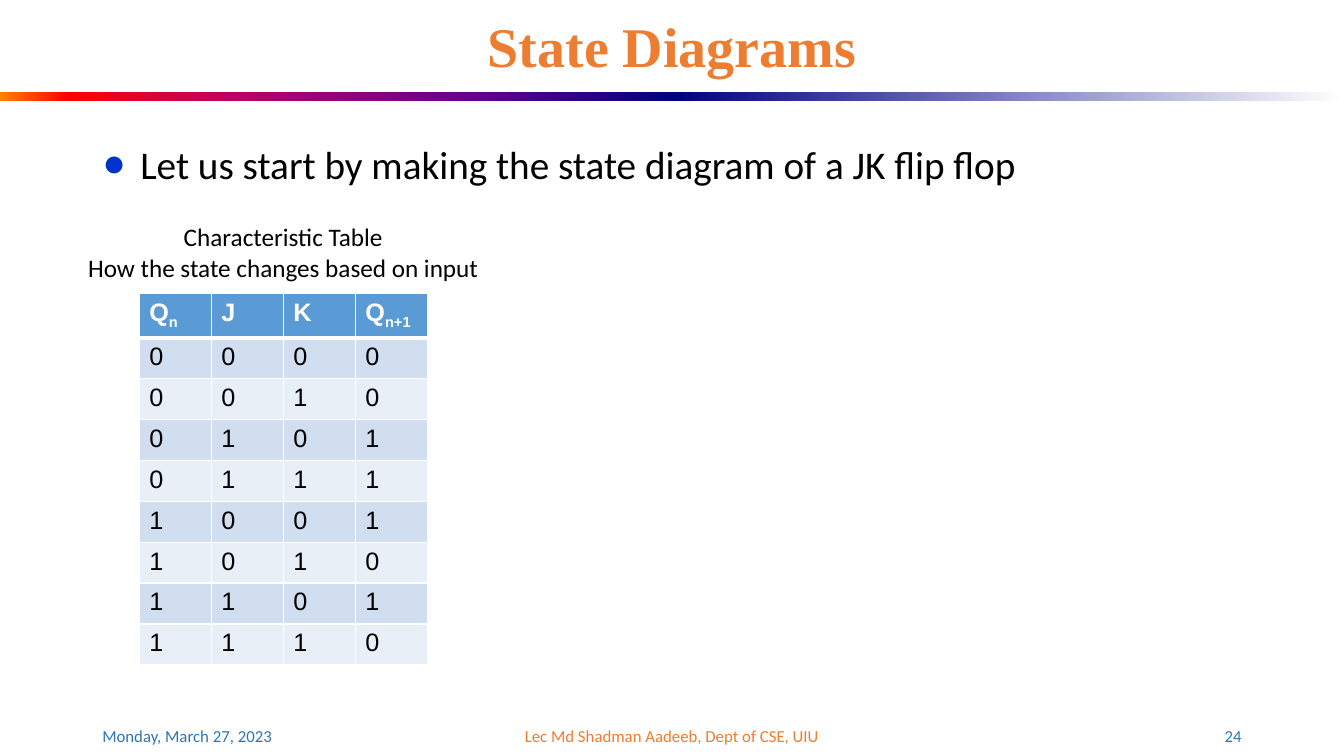
from dataclasses import dataclass

from lxml.etree import SubElement
from pptx import Presentation
from pptx.dml.color import RGBColor
from pptx.enum.shapes import MSO_SHAPE
from pptx.enum.text import MSO_ANCHOR, MSO_AUTO_SIZE, PP_ALIGN
from pptx.oxml.ns import qn
from pptx.util import Pt


@dataclass(frozen=True)
class Theme:
    black: str = "000000"
    white: str = "FFFFFF"
    orange: str = "ED7D31"
    footer_blue: str = "2E75B5"
    bullet_blue: str = "0033CC"
    header_blue: str = "5B9BD5"
    dark_band: str = "D0DEEF"
    light_band: str = "E9EFF7"
    warm_rule: tuple = ((0, "FF8200"), (10, "FF0000"), (35, "BA0066"),
                        (70, "66008F"), (100, "000082"))
    fading_rule: tuple = ((0, "000082"), (100, "FFFFFF"))
    heading_font: str = "Times New Roman"
    text_font: str = "Calibri"
    table_font: str = "Arial"
    title_size: int = 40
    body_size: int = 28
    table_size: int = 18
    footer_size: int = 12


THEME = Theme()
WIDTH, HEIGHT = 960, 540
MARGIN, CONTENT_WIDTH = 66, 828
COLUMN_WIDTH, ROW_HEIGHT = 51.5, 29.2
HEADINGS = (("Q", "n"), ("J", ""), ("K", ""), ("Q", "n+1"))
STATES = ("0000", "0010", "0101", "0111", "1001", "1010", "1101", "1110")


def place(shape, left, top, width, height):
    shape.left, shape.top = Pt(left), Pt(top)
    shape.width, shape.height = Pt(width), Pt(height)


def format_runs(paragraph, size, color, font=THEME.text_font, bold=False):
    for run in paragraph.runs:
        run.font.size = Pt(size)
        run.font.name = font
        run.font.bold = bold
        run.font.color.rgb = RGBColor.from_string(color)


def add_solid(parent, color):
    SubElement(SubElement(parent, qn("a:solidFill")), qn("a:srgbClr"), val=color)


def add_rule(slide, left, stops):
    rule = slide.shapes.add_shape(
        MSO_SHAPE.RECTANGLE, Pt(left), Pt(66), Pt(WIDTH / 2), Pt(6))
    rule.shadow.inherit = False
    rule.line.fill.background()
    rule.fill.gradient()
    rule.fill.gradient_angle = 0
    stop_list = rule.fill._fill._gradFill.find(qn("a:gsLst"))
    for default_stop in list(stop_list):
        stop_list.remove(default_stop)
    for position, color in stops:
        stop = SubElement(stop_list, qn("a:gs"), pos=str(position * 1000))
        SubElement(stop, qn("a:srgbClr"), val=color)


def set_title(slide, text):
    title = slide.shapes.title
    place(title, MARGIN, 11.5, CONTENT_WIDTH, 47.5)
    frame = title.text_frame
    frame.text = text
    frame.auto_size = MSO_AUTO_SIZE.NONE
    frame.vertical_anchor = MSO_ANCHOR.MIDDLE
    heading = frame.paragraphs[0]
    heading.alignment = PP_ALIGN.CENTER
    heading.line_spacing = 0.9
    format_runs(heading, THEME.title_size, THEME.orange, THEME.heading_font, True)


def set_body(slide, text):
    body = slide.placeholders[1]
    place(body, MARGIN, 96.5, CONTENT_WIDTH, 389.5)
    frame = body.text_frame
    frame.text = text
    frame.auto_size = MSO_AUTO_SIZE.NONE
    item = frame.paragraphs[0]
    properties = item._p.get_or_add_pPr()
    properties.set("marL", str(Pt(27)))
    properties.set("indent", str(Pt(-27)))
    bullet_color = SubElement(properties, qn("a:buClr"))
    SubElement(bullet_color, qn("a:srgbClr"), val=THEME.bullet_blue)
    SubElement(properties, qn("a:buFont"), typeface=THEME.heading_font)
    SubElement(properties, qn("a:buChar"), char="●")
    item.space_before = Pt(0)
    format_runs(item, THEME.body_size, THEME.black)


def add_text(slide, box, text, size, color, alignment, anchor=MSO_ANCHOR.MIDDLE):
    frame = slide.shapes.add_textbox(*map(Pt, box)).text_frame
    frame.word_wrap = True
    frame.vertical_anchor = anchor
    frame.text = text
    for paragraph in frame.paragraphs:
        paragraph.alignment = alignment
        format_runs(paragraph, size, color)


def style_cell(cell, fill, top=1, bottom=1):
    properties = cell._tc.get_or_add_tcPr()
    for side, width in (("L", 1), ("R", 1), ("T", top), ("B", bottom)):
        add_solid(SubElement(properties, qn(f"a:ln{side}"), w=str(Pt(width))),
                  THEME.white)
    cell.fill.solid()
    cell.fill.fore_color.rgb = RGBColor.from_string(fill)


def add_state_table(slide, left, top):
    row_count, column_count = len(STATES) + 1, len(HEADINGS)
    table = slide.shapes.add_table(
        row_count, column_count, Pt(left), Pt(top),
        Pt(column_count * COLUMN_WIDTH), Pt(row_count * ROW_HEIGHT)).table
    for column in table.columns:
        column.width = Pt(COLUMN_WIDTH)
    for row in table.rows:
        row.height = Pt(ROW_HEIGHT)

    for index, (symbol, subscript) in enumerate(HEADINGS):
        cell = table.cell(0, index)
        heading = cell.text_frame.paragraphs[0]
        heading.text = symbol
        if subscript:
            lowered = heading.add_run()
            lowered.text = subscript
            lowered._r.get_or_add_rPr().set("baseline", "-25000")
        format_runs(heading, THEME.table_size, THEME.white, THEME.table_font, True)
        style_cell(cell, THEME.header_blue, bottom=3)

    for row_index, state in enumerate(STATES, 1):
        band = THEME.dark_band if row_index % 2 else THEME.light_band
        for column_index, bit in enumerate(state):
            cell = table.cell(row_index, column_index)
            cell.text_frame.text = bit
            format_runs(cell.text_frame.paragraphs[0], THEME.table_size,
                        THEME.black, THEME.table_font)
            style_cell(cell, band, top=3 if row_index == 1 else 1)


def main():
    presentation = Presentation()
    presentation.slide_width, presentation.slide_height = Pt(WIDTH), Pt(HEIGHT)
    slide = presentation.slides.add_slide(presentation.slide_layouts[1])

    add_rule(slide, 0, THEME.warm_rule)
    add_rule(slide, WIDTH / 2, THEME.fading_rule)
    set_title(slide, "State Diagrams")
    set_body(slide, "Let us start by making the state diagram of a JK flip flop")
    add_text(slide, (54, 154.8, 296.6, 51),
             "Characteristic Table\nHow the state changes based on input",
             THEME.table_size, THEME.black, PP_ALIGN.CENTER, MSO_ANCHOR.TOP)
    add_state_table(slide, 99.4, 209.5)

    footers = (
        (MARGIN, 216, "Monday, March 27, 2023", THEME.footer_blue, PP_ALIGN.LEFT),
        (318, 324, "Lec Md Shadman Aadeeb, Dept of CSE, UIU", THEME.orange,
         PP_ALIGN.CENTER),
        (678, 216, "24", THEME.footer_blue, PP_ALIGN.RIGHT),
    )
    for left, width, text, color, alignment in footers:
        add_text(slide, (left, 511.2, width, 28.8), text, THEME.footer_size,
                 color, alignment)

    presentation.save("out.pptx")


if __name__ == "__main__":
    main()
